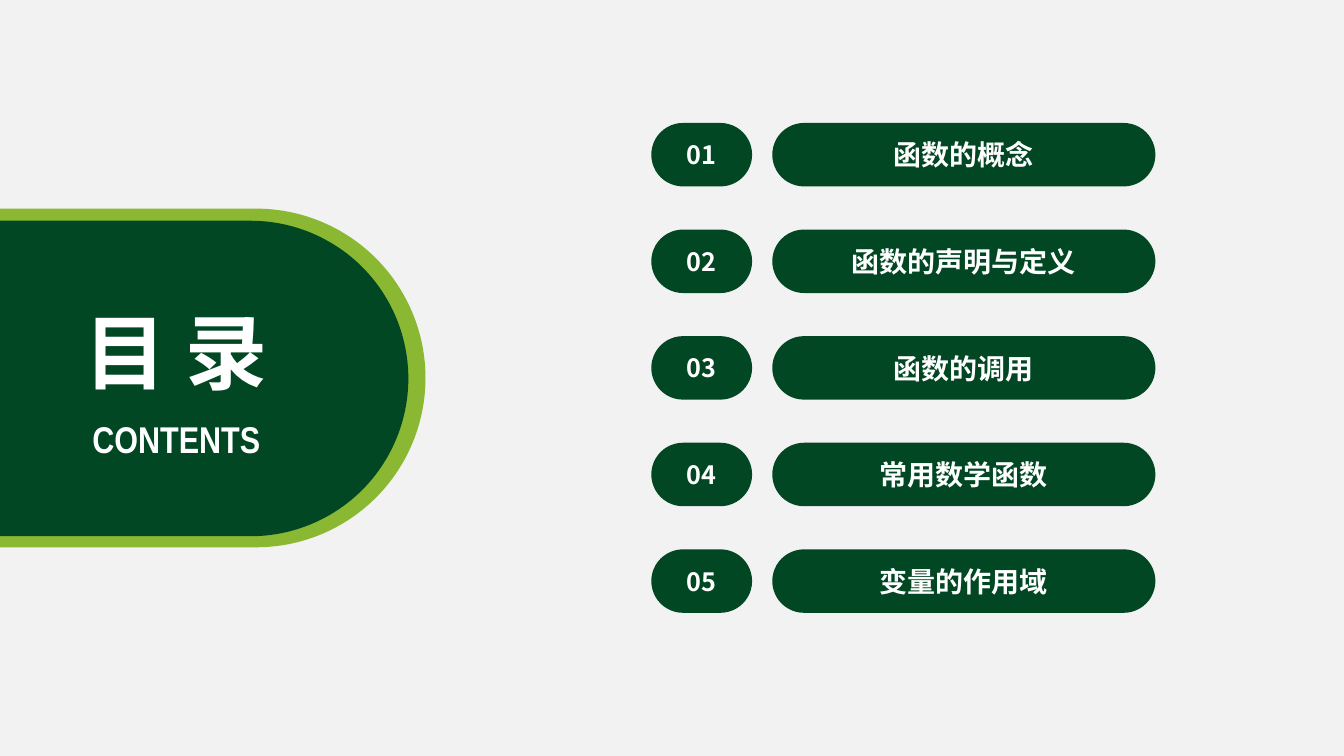
from dataclasses import dataclass

from lxml import etree
from pptx import Presentation
from pptx.dml.color import RGBColor
from pptx.enum.shapes import MSO_SHAPE
from pptx.enum.text import MSO_ANCHOR, MSO_AUTO_SIZE, PP_ALIGN
from pptx.oxml.ns import qn
from pptx.util import Inches, Pt

PILL = MSO_SHAPE.ROUNDED_RECTANGLE
MIDDLE = MSO_ANCHOR.MIDDLE
NO_AUTOFIT = MSO_AUTO_SIZE.NONE
CENTER = PP_ALIGN.CENTER

DARK_GREEN, LIME, WHITE, PALE_GREY = "014723", "8AB833", "FFFFFF", "F2F2F2"
CJK_FONT, LATIN_FONT = "Noto Sans CJK SC", "Arial Narrow"

# Grid of the contents list, in inches
FIRST_ROW, LAST_ROW, ROW_HEIGHT = 1.22, 5.45, 0.63
NUMBER_LEFT, NUMBER_WIDTH = 6.46, 1.0
TOPIC_LEFT, TOPIC_WIDTH = 7.66, 3.8

TOPICS = ["函数的概念", "函数的声明与定义", "函数的调用", "常用数学函数", "变量的作用域"]


@dataclass(frozen=True)
class Box:
    left: float
    top: float
    width: float
    height: float

    def emu(self) -> list:
        return [Inches(v) for v in (self.left, self.top, self.width, self.height)]


@dataclass(frozen=True)
class TextStyle:
    size: float
    font: str = CJK_FONT


NUMBER_STYLE, TOPIC_STYLE = TextStyle(18), TextStyle(20)
TITLE_STYLE, SUBTITLE_STYLE = TextStyle(58.6), TextStyle(26.6, LATIN_FONT)


def paint(fill, color: str) -> None:
    fill.solid()
    fill.fore_color.rgb = RGBColor.from_string(color)


def write(frame, text: str, style: TextStyle, wrap: bool = True) -> None:
    frame.word_wrap = wrap
    frame.auto_size = NO_AUTOFIT
    frame.vertical_anchor = MIDDLE
    paragraph = frame.paragraphs[0]
    paragraph.text = text
    paragraph.alignment = CENTER
    font = paragraph.font
    font.size, font.bold, font.name = Pt(style.size), True, style.font
    paint(font.fill, WHITE)
    # East Asian characters take their own typeface entry
    latin = paragraph._p.find(".//" + qn("a:latin"))
    east_asian = etree.Element(qn("a:ea"), typeface=style.font)
    latin.addnext(east_asian)


def add_pill(slide, box: Box, color: str):
    pill = slide.shapes.add_shape(PILL, *box.emu())
    pill.adjustments[0] = 0.5
    pill.shadow.inherit = False
    pill.line.fill.background()
    paint(pill.fill, color)
    return pill


def add_heading(slide) -> None:
    # Panel running in from the left edge
    add_pill(slide, Box(-1.96, 2.07, 6.18, 3.36), LIME)
    add_pill(slide, Box(-1.7, 2.19, 5.75, 3.13), DARK_GREEN)

    # Subtitle and title, the title raised above the panel
    subtitle = slide.shapes.add_textbox(*Box(0.62, 4.08, 2.26, 0.55).emu())
    write(subtitle.text_frame, "CONTENTS", SUBTITLE_STYLE, wrap=False)
    title = slide.shapes.title
    title.left, title.top, title.width, title.height = Box(0.7, 2.93, 2.09, 1.09).emu()
    write(title.text_frame, "目 录", TITLE_STYLE, wrap=False)
    slide.shapes._spTree.append(title._element)


def add_contents(slide) -> None:
    pitch = (LAST_ROW - FIRST_ROW) / (len(TOPICS) - 1)
    for row, topic in enumerate(TOPICS):
        top = FIRST_ROW + row * pitch
        number_pill = add_pill(slide, Box(NUMBER_LEFT, top, NUMBER_WIDTH, ROW_HEIGHT), DARK_GREEN)
        write(number_pill.text_frame, f"{row + 1:02d}", NUMBER_STYLE)
        topic_pill = add_pill(slide, Box(TOPIC_LEFT, top, TOPIC_WIDTH, ROW_HEIGHT), DARK_GREEN)
        write(topic_pill.text_frame, topic, TOPIC_STYLE)


def main() -> None:
    deck = Presentation()
    deck.slide_width, deck.slide_height = Inches(13.33), Inches(7.5)
    slide = deck.slides.add_slide(deck.slide_layouts.get_by_name("Title Only"))
    paint(slide.background.fill, PALE_GREY)
    add_heading(slide)
    add_contents(slide)
    deck.save("out.pptx")


if __name__ == "__main__":
    main()
